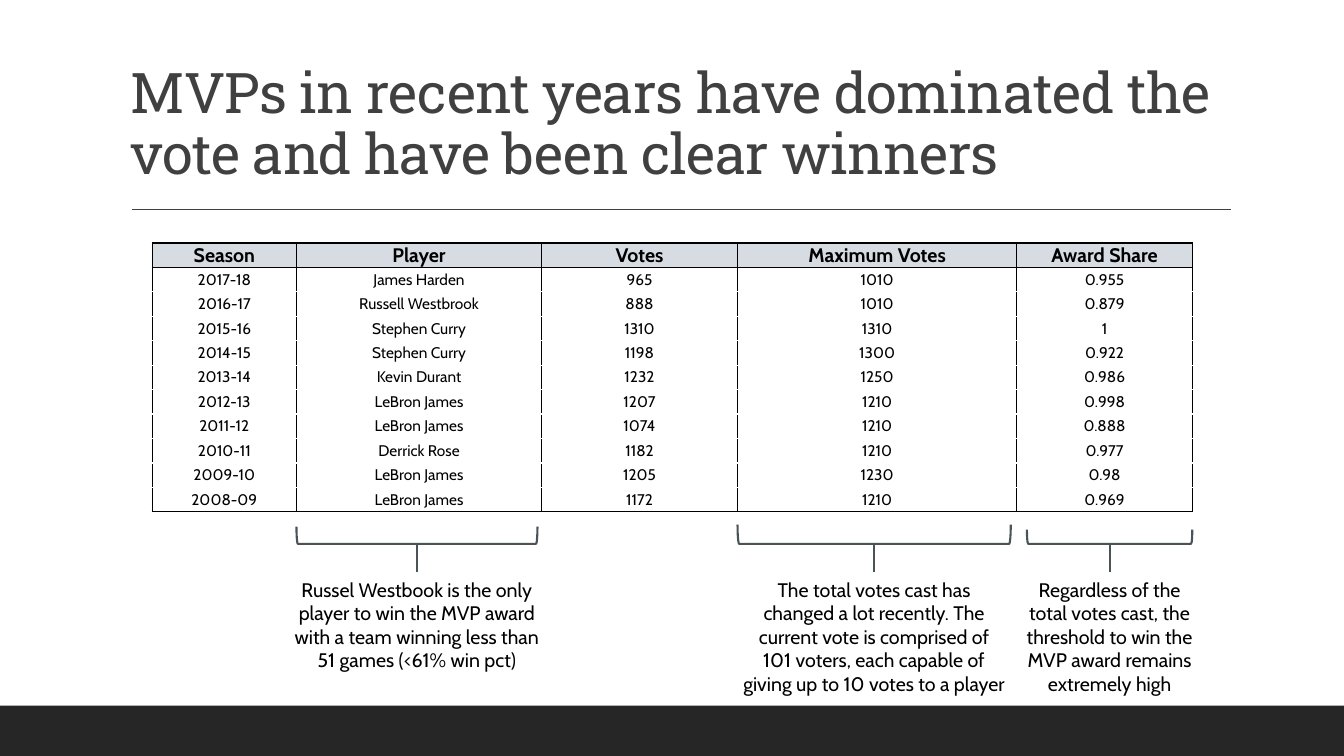
import pptx
import pptx.dml.color
import pptx.enum.shapes
import pptx.enum.text
import pptx.oxml.ns
import pptx.util
from lxml import etree

RGB = pptx.dml.color.RGBColor
BLACK = RGB(0x00, 0x00, 0x00)
WHITE = RGB(0xFF, 0xFF, 0xFF)
HEAD = RGB(0xD7, 0xDC, 0xE2)
DARK = RGB(0x26, 0x26, 0x26)
GREY = RGB(0x40, 0x40, 0x40)
SLATE = RGB(0x4A, 0x53, 0x56)

KIND = pptx.enum.shapes.MSO_SHAPE
ALIGN = pptx.enum.text.PP_ALIGN
ANCHOR = pptx.enum.text.MSO_ANCHOR
qn = pptx.oxml.ns.qn

WIDE = pptx.util.Inches(13.33)
TALL = pptx.util.Inches(7.5)

COLS = (1.43, 2.43, 1.94, 2.77, 1.74)
ROWS = (
    ("Season", "Player", "Votes", "Maximum Votes", "Award Share"),
    ("2017-18", "James Harden", "965", "1010", "0.955"),
    ("2016-17", "Russell Westbrook", "888", "1010", "0.879"),
    ("2015-16", "Stephen Curry", "1310", "1310", "1"),
    ("2014-15", "Stephen Curry", "1198", "1300", "0.922"),
    ("2013-14", "Kevin Durant", "1232", "1250", "0.986"),
    ("2012-13", "LeBron James", "1207", "1210", "0.998"),
    ("2011-12", "LeBron James", "1074", "1210", "0.888"),
    ("2010-11", "Derrick Rose", "1182", "1210", "0.977"),
    ("2009-10", "LeBron James", "1205", "1230", "0.98"),
    ("2008-09", "LeBron James", "1172", "1210", "0.969"),
)
NOTES = (
    ((21.16, 75.73, 19.73, 13.87), 17.93, 2.27,
     "Russel Westbook is the only player to win the MVP award "
     "with a team winning less than 51 games (<61% win pct)"),
    ((54.54, 75.73, 21, 17.07), 20.33, 2.53,
     "The total votes cast has changed a lot recently. The current vote is "
     "comprised of 101 voters, each capable of giving up to 10 votes to a player"),
    ((75.47, 75.73, 14.18, 17.07), 12.3, 1.87,
     "Regardless of the total votes cast, the threshold to win the "
     "MVP award remains extremely high"),
)


def col(n):
    return round(WIDE * n / 100)


def row(n):
    return round(TALL * n / 100)


def place(box):
    left, top, wide, tall = box
    return col(left), row(top), col(wide), row(tall)


def write(frame, text, size=14, font="Cabin", color=BLACK, bold=False,
          align=ALIGN.CENTER, space=None, track=None):
    para = frame.paragraphs[0]
    para.alignment = align
    if space:
        para.line_spacing = space
    run = para.add_run()
    run.text = text
    run.font.size = pptx.util.Pt(size)
    run.font.name = font
    run.font.bold = bold
    run.font.color.rgb = color
    if track:
        run.font._element.set("spc", str(track))


def label(slide, box, text, anchor=ANCHOR.TOP, **form):
    frame = slide.shapes.add_textbox(*place(box)).text_frame
    frame.word_wrap = True
    frame.vertical_anchor = anchor
    write(frame, text, **form)


def rule(slide, start, end, color, width):
    line = slide.shapes.add_connector(
        pptx.enum.shapes.MSO_CONNECTOR.STRAIGHT,
        col(start[0]), row(start[1]), col(end[0]), row(end[1]))
    line.line.color.rgb = color
    line.line.width = pptx.util.Pt(width)
    etree.SubElement(line._element.spPr, qn("a:effectLst"))


def edge(cell, side, color):
    line = etree.SubElement(cell._tc.get_or_add_tcPr(), qn("a:ln" + side), w="12700")
    fill = etree.SubElement(line, qn("a:solidFill"))
    etree.SubElement(fill, qn("a:srgbClr"), val=str(color))


def title(slide, box, text):
    left, top, wide, tall = box
    label(slide, box, text, anchor=ANCHOR.BOTTOM, size=40, font="Roboto Slab",
          color=GREY, align=ALIGN.LEFT, space=0.9, track=-50)
    base = top + tall + 2.4
    rule(slide, (left + 0.83, base), (left + wide + 0.1, base), GREY, 1)


def band(slide, box):
    bar = slide.shapes.add_shape(KIND.RECTANGLE, *place(box))
    bar.shadow.inherit = False
    bar.fill.solid()
    bar.fill.fore_color.rgb = DARK
    bar.line.fill.background()


def votes(slide, box):
    left, top, wide, tall = place(box)
    last = len(ROWS) - 1
    grid = slide.shapes.add_table(len(ROWS), len(COLS), left, top, wide, tall).table
    grid.first_row = grid.horz_banding = False
    for item, share in zip(grid.columns, COLS):
        item.width = round(wide * share / sum(COLS))
    for r, line in enumerate(ROWS):
        grid.rows[r].height = round(tall / len(ROWS))
        for c, text in enumerate(line):
            cell = grid.cell(r, c)
            cell.margin_left = cell.margin_right = 0
            cell.margin_top = cell.margin_bottom = 0
            cell.vertical_anchor = ANCHOR.MIDDLE if r else ANCHOR.BOTTOM
            edge(cell, "L", BLACK)
            edge(cell, "R", BLACK)
            edge(cell, "T", BLACK if r < 2 else WHITE)
            edge(cell, "B", BLACK if r in (0, last) else WHITE)
            cell.fill.solid()
            cell.fill.fore_color.rgb = WHITE if r else HEAD
            write(cell.text_frame, text, size=11 if r else 14, bold=r == 0)


def note(slide, box, span, depth, text):
    left, top, wide, tall = box
    mid = left + wide / 2
    base = top - 3.8
    thick, reach = row(depth), col(span)
    brace = slide.shapes.add_shape(
        KIND.LEFT_BRACKET, col(mid) - thick // 2,
        row(base) - thick // 2 - reach // 2, thick, reach)
    brace.rotation = 270
    brace.shadow.inherit = False
    brace.fill.background()
    brace.line.color.rgb = SLATE
    brace.line.width = pptx.util.Pt(1.5)
    rule(slide, (mid, base), (mid, top), SLATE, 1.5)
    label(slide, box, text)


def main():
    deck = pptx.Presentation()
    deck.slide_width, deck.slide_height = WIDE, TALL
    slide = deck.slides.add_slide(deck.slide_layouts[6])
    band(slide, (0, 93.33, 100, 6.67))
    title(slide, (9, 4.13, 82.5, 21.2),
          "MVPs in recent years have dominated the vote and have been clear winners")
    votes(slide, (11.33, 32.13, 77.4, 35.6))
    for item in NOTES:
        note(slide, *item)
    deck.save("out.pptx")


if __name__ == "__main__":
    main()
